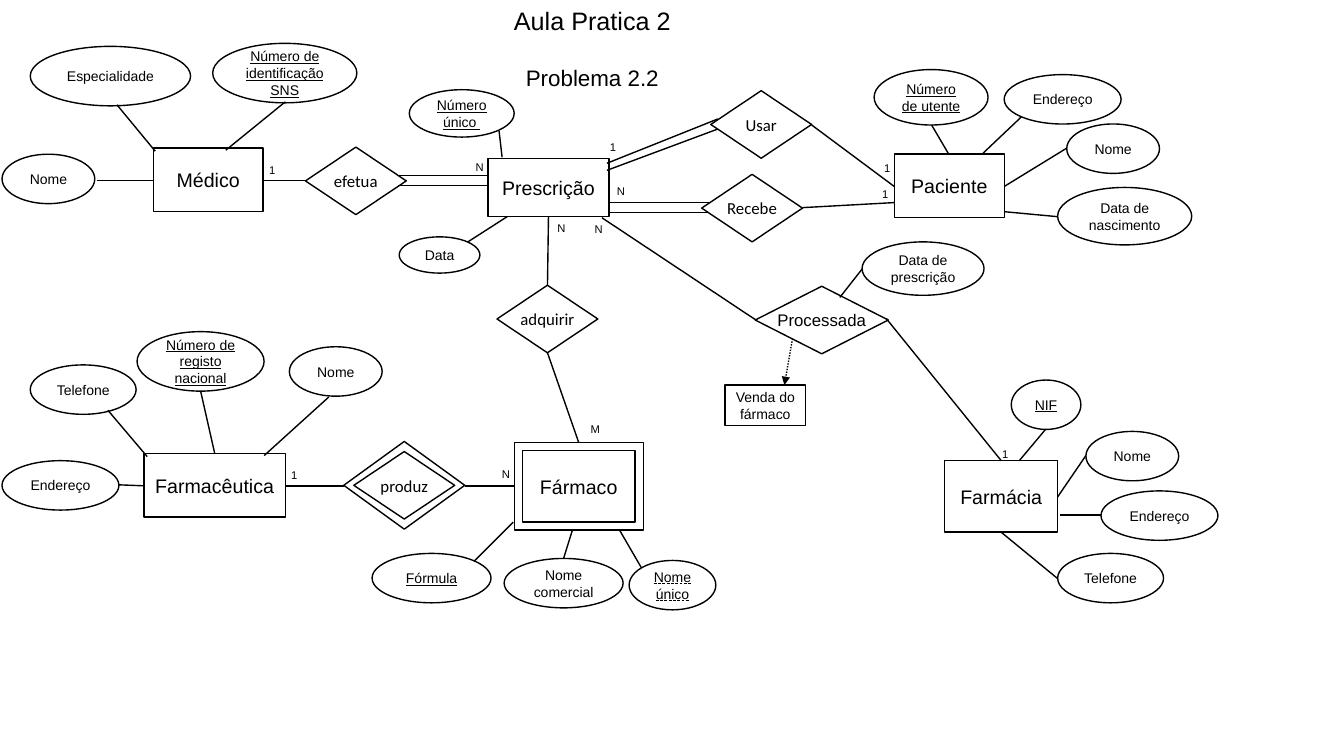
from lxml import etree
from pptx import Presentation
from pptx.dml.color import RGBColor as RGB
from pptx.enum.dml import MSO_LINE
from pptx.enum.shapes import MSO_CONNECTOR, MSO_SHAPE
from pptx.enum.text import MSO_ANCHOR, MSO_UNDERLINE, PP_ALIGN
from pptx.oxml.ns import qn
from pptx.util import Cm, Pt

COLORS = {"ink": "000000", "paper": "FFFFFF"}
KEY, PARTIAL = MSO_UNDERLINE.SINGLE_LINE, MSO_UNDERLINE.DASH_LINE

# All places are in inches: left, top, width, height
TITLE_BOX = (4.11, 0, 3.53, 0.98)
TITLES = [("Aula Pratica 2", 18, 0), ("Problema 2.2", 16, 21)]

# text, box, frame gap of a weak entity
ENTITIES = [
    ("Médico", (1.52, 1.47, 1.09, 0.63), 0),
    ("Prescrição", (4.84, 1.57, 1.2, 0.58), 0),
    ("Paciente", (8.87, 1.53, 1.09, 0.63), 0),
    ("Farmacêutica", (1.43, 4.5, 1.4, 0.63), 0),
    ("Fármaco", (5.18, 4.47, 1.12, 0.71), 0.08),
    ("Farmácia", (9.37, 4.57, 1.12, 0.71), 0),
]
NOTE = ("Venda do fármaco", (7.19, 3.82, 0.8, 0.4))

# text, box, font, frame gap of an identifying relationship
RELATIONSHIPS = [
    ("efetua", (3.03, 1.46, 1, 0.67), "Calibri", 0),
    ("Usar", (7.05, 0.9, 1, 0.67), "Calibri", 0),
    ("Recebe", (6.96, 1.73, 1, 0.67), "Calibri", 0),
    ("adquirir", (4.93, 2.83, 1, 0.67), "Calibri", 0),
    ("Processada", (7.49, 2.84, 1.32, 0.67), "Arial", 0),
    ("produz", (3.51, 4.48, 1, 0.67), "Calibri", 0.1),
]

# text, box, underline
ATTRIBUTES = [
    ("Especialidade", (0.3, 0.46, 1.59, 0.59), None),
    ("Número de identificação SNS", (2.11, 0.43, 1.43, 0.59), KEY),
    ("Nome", (0.02, 1.53, 0.92, 0.49), None),
    ("Número único ", (4.06, 0.89, 1.04, 0.47), KEY),
    ("Data", (3.96, 2.35, 0.8, 0.36), None),
    ("Data de prescrição", (8.55, 2.4, 1.21, 0.53), None),
    ("Número de utente", (8.67, 0.69, 1.13, 0.55), KEY),
    ("Endereço", (9.96, 0.74, 1.16, 0.49), None),
    ("Nome", (10.58, 1.23, 0.92, 0.49), None),
    ("Data de nascimento", (10.49, 1.86, 1.33, 0.57), None),
    ("Telefone", (0.3, 3.62, 1.05, 0.49), None),
    ("Número de registo nacional", (1.36, 3.29, 1.26, 0.59), KEY),
    ("Nome", (2.87, 3.44, 0.92, 0.49), None),
    ("Endereço", (0.02, 4.57, 1.16, 0.49), None),
    ("Fórmula", (3.69, 5.49, 1.18, 0.49), KEY),
    ("Nome comercial", (5, 5.54, 1.18, 0.49), None),
    ("Nome único", (6.24, 5.56, 0.86, 0.49), PARTIAL),
    ("NIF", (10.03, 3.77, 0.69, 0.49), KEY),
    ("Nome", (10.77, 4.28, 0.92, 0.49), None),
    ("Endereço", (10.92, 4.87, 1.16, 0.49), None),
    ("Telefone", (10.49, 5.49, 1.05, 0.49), None),
]

# x and y of the start, x and y of the end
ATTRIBUTE_LINES = [
    (1.54, 1.5, 1.16, 1.04), (2.83, 1.01, 2.24, 1.49), (1.52, 1.79, 0.96, 1.79),
    (4.95, 1.3, 4.98, 1.56), (5.03, 2.15, 4.64, 2.4), (8.55, 2.67, 8.33, 2.95),
    (9.24, 1.24, 9.41, 1.53), (10.13, 1.16, 9.75, 1.52),
    (10.58, 1.47, 9.96, 1.85), (10.49, 2.15, 9.96, 2.1),
    (1.46, 4.53, 1.07, 4.07), (1.99, 3.88, 2.13, 4.5), (3.26, 3.94, 2.62, 4.52),
    (1.43, 4.82, 1.18, 4.81), (5.09, 5.18, 4.7, 5.57), (5.68, 5.25, 5.59, 5.54),
    (6.14, 5.25, 6.36, 5.63), (10.37, 4.26, 10.11, 4.57),
    (10.77, 4.52, 10.49, 4.93), (10.92, 5.11, 10.51, 5.11),
    (10.49, 5.74, 9.93, 5.28),
]
PARTIAL_LINES = [
    (3.03, 1.79, 2.6, 1.79), (8.87, 2.01, 7.96, 2.06), (8.87, 1.85, 8.05, 1.24),
    (5.43, 2.83, 5.44, 2.15), (5.43, 3.5, 5.74, 4.39), (7.49, 3.17, 5.97, 2.16),
    (9.93, 4.57, 8.79, 3.16), (3.41, 4.82, 2.83, 4.82), (5.1, 4.82, 4.61, 4.82),
]
# upper line, then the drop to the lower one at its start and end
TOTAL_LINES = [
    ((4.85, 1.74, 3.95, 1.74), 0.1, 0.1),
    ((7.03, 2.01, 6.05, 2.01), 0.1, 0.1),
    ((7.12, 1.18, 6.02, 1.62), 0.1, 0.07),
]
NOTE_ARROW = (7.86, 3.36, 7.78, 3.82)

CARDINALITIES = {
    "1": [(2.57, 1.57), (5.95, 1.34), (8.67, 1.55), (8.65, 1.81),
          (2.79, 4.6), (9.84, 4.39)],
    "N": [(4.62, 1.54), (6.02, 1.78), (5.43, 2.15), (5.8, 2.16), (4.88, 4.59)],
    "M": [(5.76, 4.14)],
}


def lengths(values):
    """Turn inches into slide lengths."""
    return [Cm(v * 2.54) for v in values]


def write(p, text, size, font="Arial", underline=None):
    """Add one formatted run to a paragraph."""
    r = p.add_run()
    r.text = text
    look = {"size": Pt(size), "name": font, "underline": underline}
    for name, value in look.items():
        setattr(r.font, name, value)
    r.font.color.rgb = RGB.from_string(COLORS["ink"])


def add_node(kind, box, text="", size=10, font="Arial", underline=None, wrap=True):
    """Add a white outlined shape with centred text."""
    sp = slide.shapes.add_shape(kind, *lengths(box))
    sp.shadow.inherit = False
    sp.fill.solid()
    sp.fill.fore_color.rgb = RGB.from_string(COLORS["paper"])
    sp.line.color.rgb = RGB.from_string(COLORS["ink"])
    sp.line.width = Pt(1)
    tf = sp.text_frame
    tf.word_wrap, tf.vertical_anchor = wrap, MSO_ANCHOR.MIDDLE
    if text:
        tf.paragraphs[0].alignment = PP_ALIGN.CENTER
        write(tf.paragraphs[0], text, size, font, underline)


def add_frame(kind, box, gap):
    """Add the outer outline of a weak entity or relationship."""
    x, y, w, h = box
    if gap:
        add_node(kind, (x - gap, y - gap, w + 2 * gap, h + 2 * gap))


def add_line(ends):
    """Add a plain black line and return it."""
    line = slide.shapes.add_connector(MSO_CONNECTOR.STRAIGHT, *lengths(ends))
    line.line.color.rgb = RGB.from_string(COLORS["ink"])
    line.line.width = Pt(1)
    etree.SubElement(line.element.spPr, qn("a:effectLst"))
    return line


def add_text(box):
    """Add a wrapping text box and return its text frame."""
    tf = slide.shapes.add_textbox(*lengths(box)).text_frame
    tf.word_wrap = True
    return tf


prs = Presentation()
prs.slide_width, prs.slide_height = lengths((13.33, 7.5))
slide = prs.slides.add_slide(prs.slide_layouts[6])

for text, box, gap in ENTITIES:
    add_frame(MSO_SHAPE.RECTANGLE, box, gap)
    add_node(MSO_SHAPE.RECTANGLE, box, text, 14)
add_node(MSO_SHAPE.RECTANGLE, NOTE[1], NOTE[0])
for text, box, font, gap in RELATIONSHIPS:
    add_frame(MSO_SHAPE.FLOWCHART_DECISION, box, gap)
    add_node(MSO_SHAPE.FLOWCHART_DECISION, box, text, 12, font, wrap=False)
for text, box, underline in ATTRIBUTES:
    add_node(MSO_SHAPE.OVAL, box, text, underline=underline)

for ends in ATTRIBUTE_LINES + PARTIAL_LINES:
    add_line(ends)
for (x1, y1, x2, y2), drop1, drop2 in TOTAL_LINES:
    add_line((x1, y1, x2, y2))
    add_line((x1, y1 + drop1, x2, y2 + drop2))
arrow = add_line(NOTE_ARROW).line
arrow.dash_style = MSO_LINE.ROUND_DOT
etree.SubElement(arrow._get_or_add_ln(), qn("a:tailEnd"), type="triangle")

for text, places in CARDINALITIES.items():
    for x, y in places:
        write(add_text((x, y, 0.28, 0.24)).paragraphs[0], text, 8)
tf = add_text(TITLE_BOX)
for i, (text, size, space) in enumerate(TITLES):
    p = tf.add_paragraph() if i else tf.paragraphs[0]
    p.alignment, p.space_before = PP_ALIGN.CENTER, Pt(space)
    write(p, text, size)

prs.save("out.pptx")
